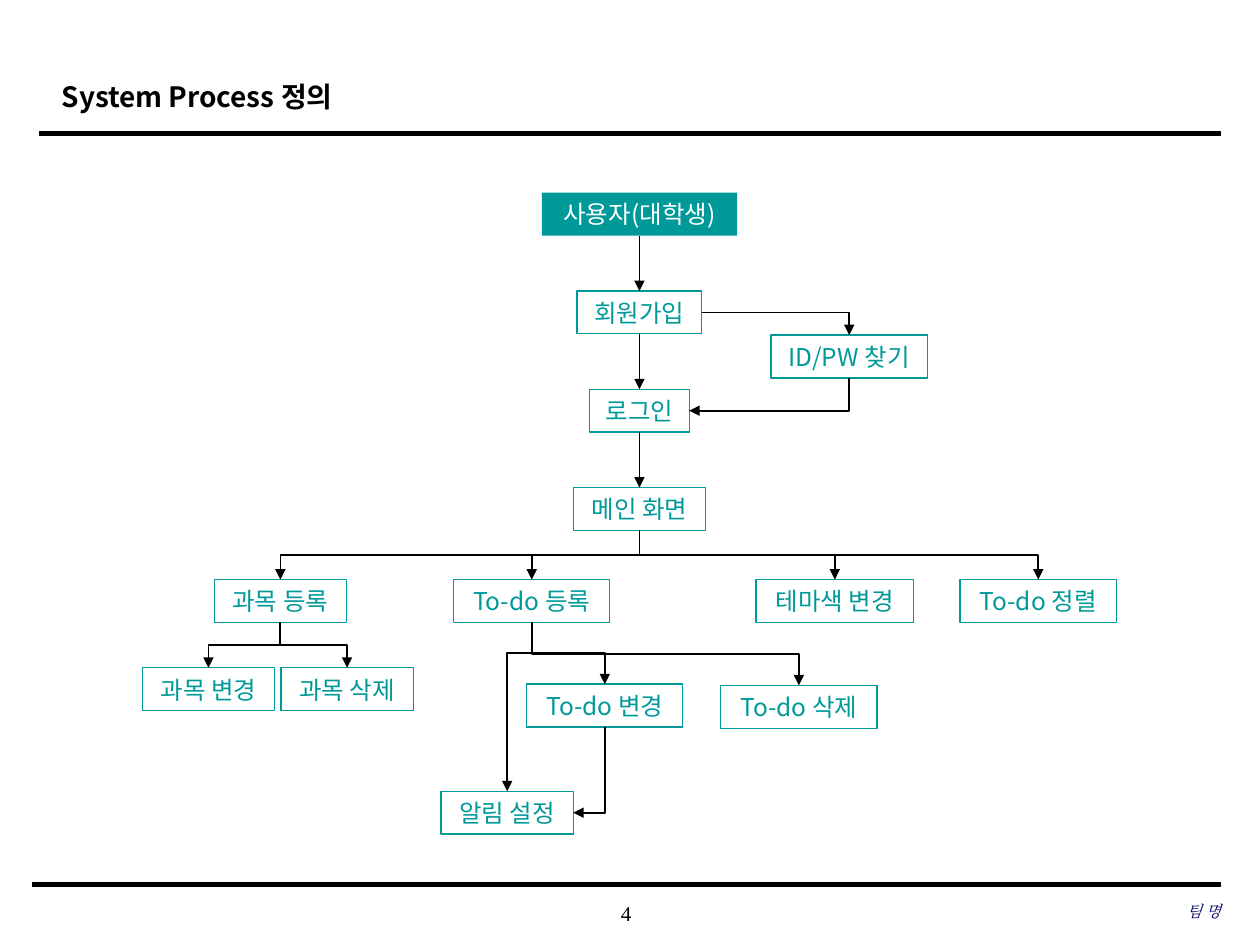
import dataclasses

import lxml.etree
import pptx
import pptx.dml.color
import pptx.enum.shapes
import pptx.enum.text
import pptx.oxml.ns
import pptx.util

Inches = pptx.util.Inches
Pt = pptx.util.Pt
qn = pptx.oxml.ns.qn
Align = pptx.enum.text.PP_ALIGN
Connector = pptx.enum.shapes.MSO_CONNECTOR
TOP, LEFT, BOTTOM, RIGHT = range(4)  # connection sites of a rectangle


@dataclasses.dataclass(frozen=True)
class Theme:
    sans: str = "Noto Sans CJK KR"
    serif: str = "Times New Roman"
    black: str = "000000"
    white: str = "FFFFFF"
    teal: str = "009999"
    navy: str = "000066"
    title_size: float = 16
    box_size: float = 14
    page_size: float = 12
    team_size: float = 9
    box_line: float = 0.75
    arrow_line: float = 1


# step: (label, left, top, width)
STEPS = {
    "user": ("사용자(대학생)", 4.3, 1.53, 1.55),
    "sign up": ("회원가입", 4.58, 2.31, 0.99),
    "log in": ("로그인", 4.68, 3.09, 0.79),
    "find account": ("ID/PW 찾기", 6.12, 2.66, 1.24),
    "main": ("메인 화면", 4.55, 3.87, 1.05),
    "add subject": ("과목 등록", 1.7, 4.6, 1.05),
    "add to-do": ("To-do 등록", 3.6, 4.6, 1.24),
    "theme colour": ("테마색 변경", 6, 4.6, 1.25),
    "sort to-do": ("To-do 정렬", 7.62, 4.6, 1.24),
    "edit subject": ("과목 변경", 1.13, 5.3, 1.05),
    "delete subject": ("과목 삭제", 2.23, 5.3, 1.05),
    "edit to-do": ("To-do 변경", 4.18, 5.43, 1.24),
    "delete to-do": ("To-do 삭제", 5.72, 5.44, 1.24),
    "alarm": ("알림 설정", 3.5, 6.28, 1.05),
}
BOX_HEIGHT = 0.34

DOWNWARD_FLOWS = {
    "user": ["sign up"],
    "sign up": ["log in"],
    "log in": ["main"],
    "main": ["add to-do", "add subject", "theme colour", "sort to-do"],
    "add subject": ["edit subject", "delete subject"],
    "add to-do": ["edit to-do", "delete to-do"],
}


class ProcessSlide:
    def __init__(self, slide, theme):
        self.slide = slide
        self.theme = theme

    def set_text(self, frame, text, size, color, font, align, bold=False, italic=False):
        frame.auto_size = pptx.enum.text.MSO_AUTO_SIZE.NONE
        frame.vertical_anchor = pptx.enum.text.MSO_ANCHOR.MIDDLE
        paragraph = frame.paragraphs[0]
        paragraph.text = text
        paragraph.alignment = align
        style = paragraph.font
        style.size, style.bold, style.italic = Pt(size), bold, italic
        style.color.rgb = pptx.dml.color.RGBColor.from_string(color)
        style.name = font
        # Korean glyphs take the East Asian typeface
        defaults = paragraph._p.pPr.find(qn("a:defRPr"))
        lxml.etree.SubElement(defaults, qn("a:ea"), typeface=font)
        return paragraph

    def title(self, text, left, top, width, height):
        heading = self.slide.shapes.title
        heading.left, heading.top = Inches(left), Inches(top)
        heading.width, heading.height = Inches(width), Inches(height)
        paragraph = self.set_text(heading.text_frame, text, self.theme.title_size,
                                  self.theme.black, self.theme.sans, Align.LEFT, bold=True)
        paragraph.line_spacing = 1.2

    def footer(self, text, left, top, width, height, size, color, align, italic=False):
        frame = self.slide.shapes.add_textbox(
            Inches(left), Inches(top), Inches(width), Inches(height)).text_frame
        frame.word_wrap = True
        frame.margin_left = frame.margin_right = 0
        frame.margin_top = frame.margin_bottom = 0
        self.set_text(frame, text, size, color, self.theme.serif, align, italic=italic)

    def step(self, label, left, top, width, filled=False):
        box = self.slide.shapes.add_shape(
            pptx.enum.shapes.MSO_SHAPE.RECTANGLE,
            Inches(left), Inches(top), Inches(width), Inches(BOX_HEIGHT))
        box.shadow.inherit = False
        teal = pptx.dml.color.RGBColor.from_string(self.theme.teal)
        if filled:
            box.fill.solid()
            box.fill.fore_color.rgb = teal
            box.line.fill.background()
        else:
            box.fill.background()
            box.line.color.rgb = teal
            box.line.width = Pt(self.theme.box_line)
        frame = box.text_frame
        frame.word_wrap = False
        frame.margin_top = frame.margin_bottom = Inches(0.03)
        self.set_text(frame, label, self.theme.box_size,
                      self.theme.white if filled else self.theme.teal,
                      self.theme.sans, Align.CENTER)
        return box

    def line(self, kind, start, end, width):
        line = self.slide.shapes.add_connector(kind, *start, *end)
        line.line.color.rgb = pptx.dml.color.RGBColor.from_string(self.theme.black)
        line.line.width = Pt(width)
        lxml.etree.SubElement(line._element.spPr, qn("a:effectLst"))
        return line

    def rule(self, left, right, y, width):
        self.line(Connector.STRAIGHT, (Inches(left), Inches(y)),
                  (Inches(right), Inches(y)), width)

    def arrow(self, source, target, leave=BOTTOM, arrive=TOP, bend=None):
        """Join two boxes; bend is where the elbow turns, as a share of the way."""
        x1, y1 = site(source, leave)
        x2, y2 = site(target, arrive)
        straight = abs(x2 - x1) < Inches(0.02)
        kind = Connector.STRAIGHT if straight else Connector.ELBOW
        arrow = self.line(kind, (x1, y1), (x2, y2), self.theme.arrow_line)
        arrow.begin_connect(source, leave)
        arrow.end_connect(target, arrive)
        properties = arrow._element.spPr
        lxml.etree.SubElement(properties.find(qn("a:ln")), qn("a:tailEnd"), type="triangle")
        if straight:
            return
        geometry = properties.find(qn("a:prstGeom"))
        if (leave, arrive) != (BOTTOM, TOP):
            geometry.set("prst", "bentConnector2")
        if bend is not None:
            lxml.etree.SubElement(geometry.find(qn("a:avLst")), qn("a:gd"),
                                  name="adj1", fmla=f"val {round(bend * 100000)}")
        if leave == BOTTOM:
            # A path that starts downward is a sideways one turned about its centre
            across, down = abs(x2 - x1), y2 - y1
            arrow.left = (x1 + x2 - down) // 2
            arrow.top = (y1 + y2 - across) // 2
            arrow.width, arrow.height = down, across
            transform = properties.find(qn("a:xfrm"))
            rightward = x2 > x1
            transform.set("rot", str((270 if rightward else 90) * 60000))
            transform.set("flipH", "1" if rightward else "0")


def site(box, side):
    """Return the middle of one side of a box."""
    x = {LEFT: box.left, RIGHT: box.left + box.width}.get(side, box.left + box.width // 2)
    y = {TOP: box.top, BOTTOM: box.top + box.height}.get(side, box.top + box.height // 2)
    return x, y


def main():
    presentation = pptx.Presentation()
    presentation.slide_width, presentation.slide_height = Inches(10), Inches(7.5)
    theme = Theme()
    page = ProcessSlide(presentation.slides.add_slide(presentation.slide_layouts[5]), theme)

    page.title("System Process 정의", 0.39, 0.49, 7.55, 0.5)
    page.rule(0.31, 9.69, 1.06, 2.5)
    page.rule(0.25, 9.69, 7.02, 3)
    page.footer("4", 3.93, 7.08, 2.08, 0.33, theme.page_size, theme.black, Align.CENTER)
    page.footer("팀 명", 6.63, 7.07, 3.06, 0.33, theme.team_size, theme.navy,
                Align.RIGHT, italic=True)

    boxes = {key: page.step(*step, filled=key == "user") for key, step in STEPS.items()}
    for source, targets in DOWNWARD_FLOWS.items():
        for target in targets:
            page.arrow(boxes[source], boxes[target])
    page.arrow(boxes["sign up"], boxes["find account"], leave=RIGHT)
    page.arrow(boxes["find account"], boxes["log in"], arrive=RIGHT)
    page.arrow(boxes["add to-do"], boxes["alarm"], bend=0.18)
    page.arrow(boxes["edit to-do"], boxes["alarm"], arrive=RIGHT)

    presentation.save("out.pptx")


if __name__ == "__main__":
    main()
